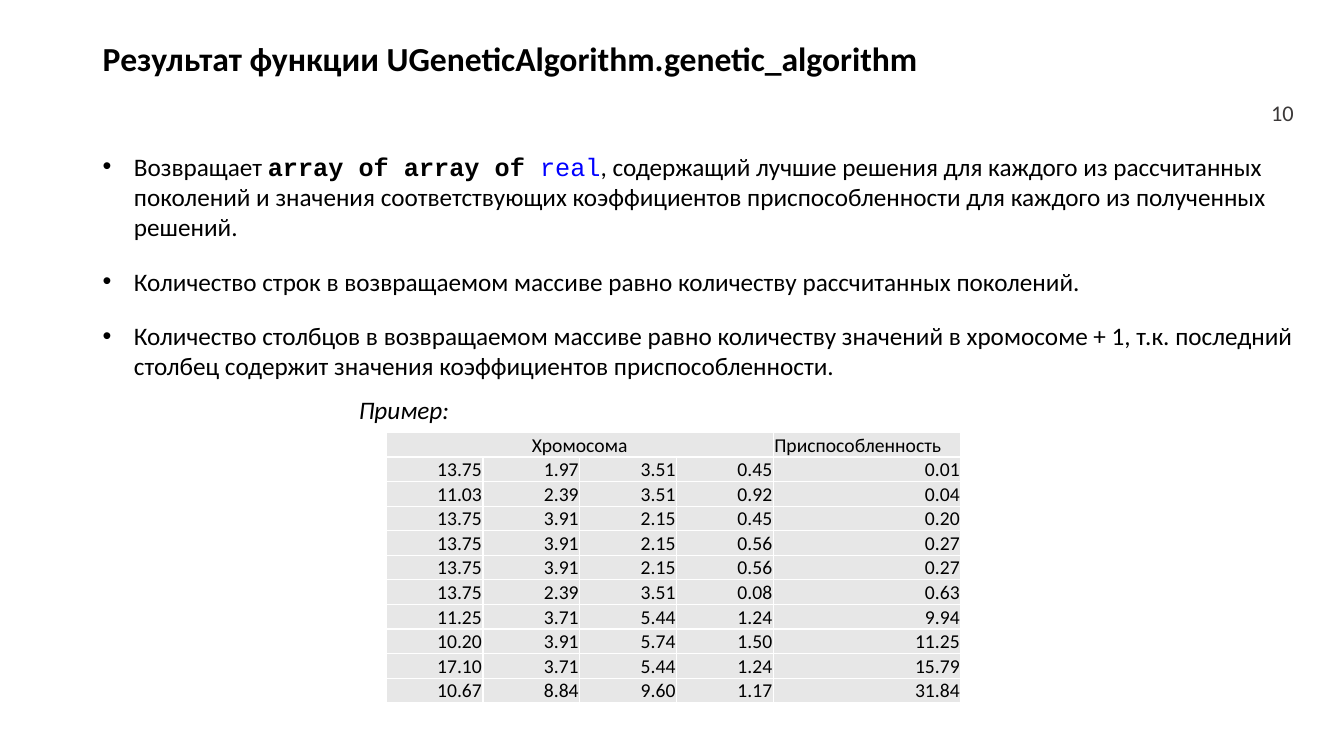
from dataclasses import dataclass

from lxml.etree import SubElement
from pptx import Presentation
from pptx.dml.color import RGBColor
from pptx.enum.text import MSO_ANCHOR, PP_ALIGN
from pptx.oxml import parse_xml
from pptx.oxml.ns import nsdecls, qn
from pptx.slide import Slide
from pptx.table import _Cell
from pptx.util import Inches, Pt

BLACK = RGBColor(0x00, 0x00, 0x00)
DARK_GRAY = RGBColor(0x3B, 0x38, 0x38)
BLUE = RGBColor(0x00, 0x00, 0xFF)
CELL_GRAY = RGBColor(0xE7, 0xE7, 0xE7)
WHITE = RGBColor(0xFF, 0xFF, 0xFF)
BODY_FONT = "Calibri"
CODE_FONT = "Courier New"
LEFT = 0.92
BULLET_INDENT = 0.31


@dataclass(frozen=True)
class Span:
    text: str
    size: int = 18
    font: str = BODY_FONT
    color: RGBColor = BLACK
    bold: bool = False
    italic: bool = False


@dataclass(frozen=True)
class TextBlock:
    left: float
    top: float
    width: float
    height: float
    spans: tuple[Span, ...]
    bullet: bool = False
    wrap: bool = True
    anchor: MSO_ANCHOR = MSO_ANCHOR.TOP
    align: PP_ALIGN = PP_ALIGN.LEFT
    line_spacing: float = 1.0


BLOCKS = (
    TextBlock(12.42, 0.92, 0.51, 0.4, (Span("10", 16, color=DARK_GRAY),),
              anchor=MSO_ANCHOR.MIDDLE, align=PP_ALIGN.RIGHT),
    TextBlock(LEFT, 0.17, 10.78, 0.87,
              (Span("Результат функции UGeneticAlgorithm.genetic_algorithm", 24, bold=True),),
              anchor=MSO_ANCHOR.MIDDLE, line_spacing=0.9),
    TextBlock(LEFT, 1.45, 12.18, 1.01, (
        Span("Возвращает "),
        Span("array of array of ", font=CODE_FONT, bold=True),
        Span("real", font=CODE_FONT, color=BLUE),
        Span(", содержащий лучшие решения для каждого из рассчитанных поколений и значения "
             "соответствующих коэффициентов приспособленности для каждого из полученных решений."),
    ), bullet=True),
    TextBlock(LEFT, 2.59, 10.01, 0.4, (
        Span("Количество строк в возвращаемом массиве равно количеству рассчитанных поколений."),
    ), bullet=True, wrap=False),
    TextBlock(LEFT, 3.13, 12.18, 0.71, (
        Span("Количество столбцов в возвращаемом массиве равно количеству значений в хромосоме + 1, "
             "т.к. последний столбец содержит значения коэффициентов приспособленности."),
    ), bullet=True),
    TextBlock(3.46, 3.86, 1.11, 0.4, (Span("Пример:", italic=True),), wrap=False),
)

COLUMN_WIDTHS = (0.96, 0.96, 0.96, 0.96, 1.86)
ROW_HEIGHT = 0.24
CHROMOSOME_SIZE = 4
GENERATIONS = (
    (13.75, 1.97, 3.51, 0.45, 0.01),
    (11.03, 2.39, 3.51, 0.92, 0.04),
    (13.75, 3.91, 2.15, 0.45, 0.20),
    (13.75, 3.91, 2.15, 0.56, 0.27),
    (13.75, 3.91, 2.15, 0.56, 0.27),
    (13.75, 2.39, 3.51, 0.08, 0.63),
    (11.25, 3.71, 5.44, 1.24, 9.94),
    (10.20, 3.91, 5.74, 1.50, 11.25),
    (17.10, 3.71, 5.44, 1.24, 15.79),
    (10.67, 8.84, 9.60, 1.17, 31.84),
)


def add_text_block(page: Slide, block: TextBlock) -> None:
    box = page.shapes.add_textbox(Inches(block.left), Inches(block.top),
                                  Inches(block.width), Inches(block.height))
    frame = box.text_frame
    frame.word_wrap = block.wrap
    frame.vertical_anchor = block.anchor
    para = frame.paragraphs[0]
    para.alignment = block.align
    para.line_spacing = block.line_spacing
    if block.bullet:
        properties = para._p.get_or_add_pPr()
        properties.set("marL", str(Inches(BULLET_INDENT)))
        properties.set("indent", str(-Inches(BULLET_INDENT)))
        SubElement(properties, qn("a:buFont")).set("typeface", "Arial")
        SubElement(properties, qn("a:buChar")).set("char", "•")
    for span in block.spans:
        run = para.add_run()
        run.text = span.text
        run.font.size = Pt(span.size)
        run.font.name = span.font
        run.font.color.rgb = span.color
        run.font.bold = span.bold
        run.font.italic = span.italic


def style_cell(cell: _Cell) -> None:
    cell.fill.solid()
    cell.fill.fore_color.rgb = CELL_GRAY
    cell.vertical_anchor = MSO_ANCHOR.BOTTOM
    cell.margin_left = cell.margin_right = cell.margin_top = Inches(0.01)
    cell.margin_bottom = 0
    properties = cell._tc.get_or_add_tcPr()
    for position, side in enumerate(("lnL", "lnR", "lnT", "lnB")):
        properties.insert(position, parse_xml(
            f'<a:{side} {nsdecls("a")} w="{Pt(1)}"><a:solidFill>'
            f'<a:srgbClr val="{WHITE}"/></a:solidFill></a:{side}>'))


def fill_cell(cell: _Cell, text: str, align: PP_ALIGN) -> None:
    para = cell.text_frame.paragraphs[0]
    para.text = text
    para.alignment = align
    font = para.runs[0].font
    font.size = Pt(14)
    font.name = BODY_FONT
    font.color.rgb = BLACK


def add_generation_table(page: Slide) -> None:
    row_count = len(GENERATIONS) + 1
    table = page.shapes.add_table(
        row_count, len(COLUMN_WIDTHS), Inches(3.83), Inches(4.29),
        Inches(sum(COLUMN_WIDTHS)), Inches(ROW_HEIGHT * row_count)).table
    table.first_row = False
    table.horz_banding = False
    for column, width in zip(table.columns, COLUMN_WIDTHS):
        column.width = Inches(width)
    for cell in table.iter_cells():
        style_cell(cell)

    table.cell(0, 0).merge(table.cell(0, CHROMOSOME_SIZE - 1))
    fill_cell(table.cell(0, 0), "Хромосома", PP_ALIGN.CENTER)
    fill_cell(table.cell(0, CHROMOSOME_SIZE), "Приспособленность", PP_ALIGN.LEFT)
    for row, generation in enumerate(GENERATIONS, start=1):
        for column, value in enumerate(generation):
            fill_cell(table.cell(row, column), f"{value:.2f}", PP_ALIGN.RIGHT)


def main() -> None:
    deck = Presentation()
    deck.slide_width = Inches(13.33)
    deck.slide_height = Inches(7.5)
    page = deck.slides.add_slide(deck.slide_layouts[6])
    page.background.fill.solid()
    page.background.fill.fore_color.rgb = WHITE
    for block in BLOCKS:
        add_text_block(page, block)
    add_generation_table(page)
    deck.save("out.pptx")


if __name__ == "__main__":
    main()
